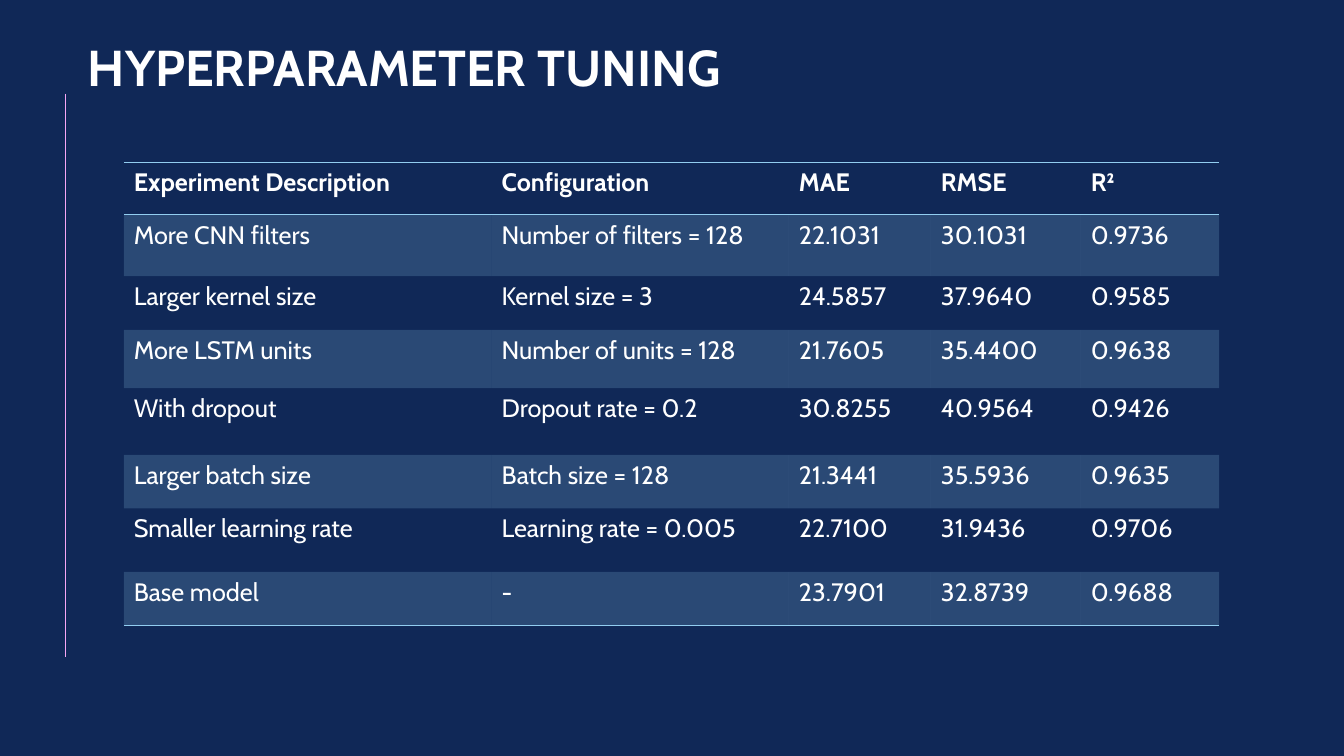
from dataclasses import dataclass

from lxml import etree
from pptx import Presentation
from pptx.dml.color import RGBColor
from pptx.enum.shapes import MSO_CONNECTOR
from pptx.enum.text import MSO_ANCHOR, MSO_AUTO_SIZE, PP_ALIGN
from pptx.oxml import parse_xml
from pptx.oxml.ns import nsdecls, qn
from pptx.util import Cm, Pt

STRAIGHT = MSO_CONNECTOR.STRAIGHT
MIDDLE = MSO_ANCHOR.MIDDLE
GROW = MSO_AUTO_SIZE.SHAPE_TO_FIT_TEXT
LEFT = PP_ALIGN.LEFT

NAVY = RGBColor(0x10, 0x28, 0x57)
WHITE = RGBColor(0xFF, 0xFF, 0xFF)
SKY = RGBColor(0x92, 0xCD, 0xF0)
PINK = RGBColor(0xF6, 0xA6, 0xF4)
FONT = "Cabin"
PLAIN_STYLE = "{2D5ABB26-0587-4C30-8999-92F81FD0307C}"


@dataclass
class Trial:
    name: str
    setup: str
    mae: str
    rmse: str
    score: str
    height: float

    def texts(self) -> list[str]:
        return [self.name, self.setup, self.mae, self.rmse, self.score]


WIDTHS = [9.27, 7.49, 3.58, 3.78, 3.48]
TRIALS = [
    Trial("Experiment Description", "Configuration", "MAE", "RMSE", "R²", 1.32),
    Trial("More CNN filters", "Number of filters = 128", "22.1031", "30.1031", "0.9736", 1.55),
    Trial("Larger kernel size", "Kernel size = 3", "24.5857", "37.9640", "0.9585", 1.35),
    Trial("More LSTM units", "Number of units = 128", "21.7605", "35.4400", "0.9638", 1.47),
    Trial("With dropout", "Dropout rate = 0.2", "30.8255", "40.9564", "0.9426", 1.68),
    Trial("Larger batch size", "Batch size = 128", "21.3441", "35.5936", "0.9635", 1.35),
    Trial("Smaller learning rate", "Learning rate = 0.005", "22.7100", "31.9436", "0.9706", 1.6),
    Trial("Base model", "-", "23.7901", "32.8739", "0.9688", 1.35),
]


def add_run(para, text: str, size: int, bold: bool) -> None:
    run = para.add_run()
    run.text = text
    run.font.name = FONT
    run.font.size = Pt(size)
    run.font.bold = bold
    run.font.color.rgb = WHITE


def add_edge(cell, side: str) -> None:
    """Draw a 1 pt border on the "T" or "B" side; call before filling the cell."""
    cell._tc.get_or_add_tcPr().append(parse_xml(
        f'<a:ln{side} {nsdecls("a")} w="{Pt(1)}"><a:solidFill>'
        f'<a:srgbClr val="{SKY}"/></a:solidFill></a:ln{side}>'))


def tint(cell) -> None:
    """Fill the cell with sky blue at 20 % opacity."""
    cell.fill.solid()
    cell.fill.fore_color.rgb = SKY
    color = cell._tc.tcPr.find(f"{qn('a:solidFill')}/{qn('a:srgbClr')}")
    etree.SubElement(color, qn("a:alpha"), val="20000")


def add_title(slide) -> None:
    title = slide.shapes.title
    title.left, title.top = Cm(1.96), Cm(0.76)
    title.width, title.height = Cm(27.58), Cm(1.8)
    frame = title.text_frame
    frame.word_wrap = True
    frame.auto_size = GROW
    frame.vertical_anchor = MIDDLE
    para = frame.paragraphs[0]
    para.alignment = LEFT
    add_run(para, "HYPERPARAMETER TUNING", 36, True)


def add_rule(slide) -> None:
    rule = slide.shapes.add_connector(STRAIGHT, Cm(1.65), Cm(2.36), Cm(1.65), Cm(16.56))
    rule.line.color.rgb = PINK
    rule.line.width = Pt(0.5)
    etree.SubElement(rule._element.spPr, qn("a:effectLst"))


def add_trials(slide) -> None:
    table = slide.shapes.add_table(
        len(TRIALS), len(WIDTHS), Cm(3.12), Cm(4.09),
        Cm(sum(WIDTHS)), Cm(sum(t.height for t in TRIALS))).table
    table._tbl.tblPr.find(qn("a:tableStyleId")).text = PLAIN_STYLE
    table.horz_banding = False
    for col, width in zip(table.columns, WIDTHS):
        col.width = Cm(width)
    last = len(TRIALS) - 1
    for i, (row, trial) in enumerate(zip(table.rows, TRIALS)):
        row.height = Cm(trial.height)
        for cell, text in zip(row.cells, trial.texts()):
            add_run(cell.text_frame.paragraphs[0], text, 18, i == 0)
            if i == 0:
                add_edge(cell, "T")
            if i in (0, last):
                add_edge(cell, "B")
            if i % 2:
                tint(cell)
            else:
                cell.fill.background()


def main() -> None:
    deck = Presentation()
    deck.slide_width, deck.slide_height = Cm(33.87), Cm(19.05)
    slide = deck.slides.add_slide(deck.slide_layouts.get_by_name("Title Only"))
    slide.background.fill.solid()
    slide.background.fill.fore_color.rgb = NAVY
    add_rule(slide)
    add_title(slide)
    add_trials(slide)
    deck.save("out.pptx")


if __name__ == "__main__":
    main()
